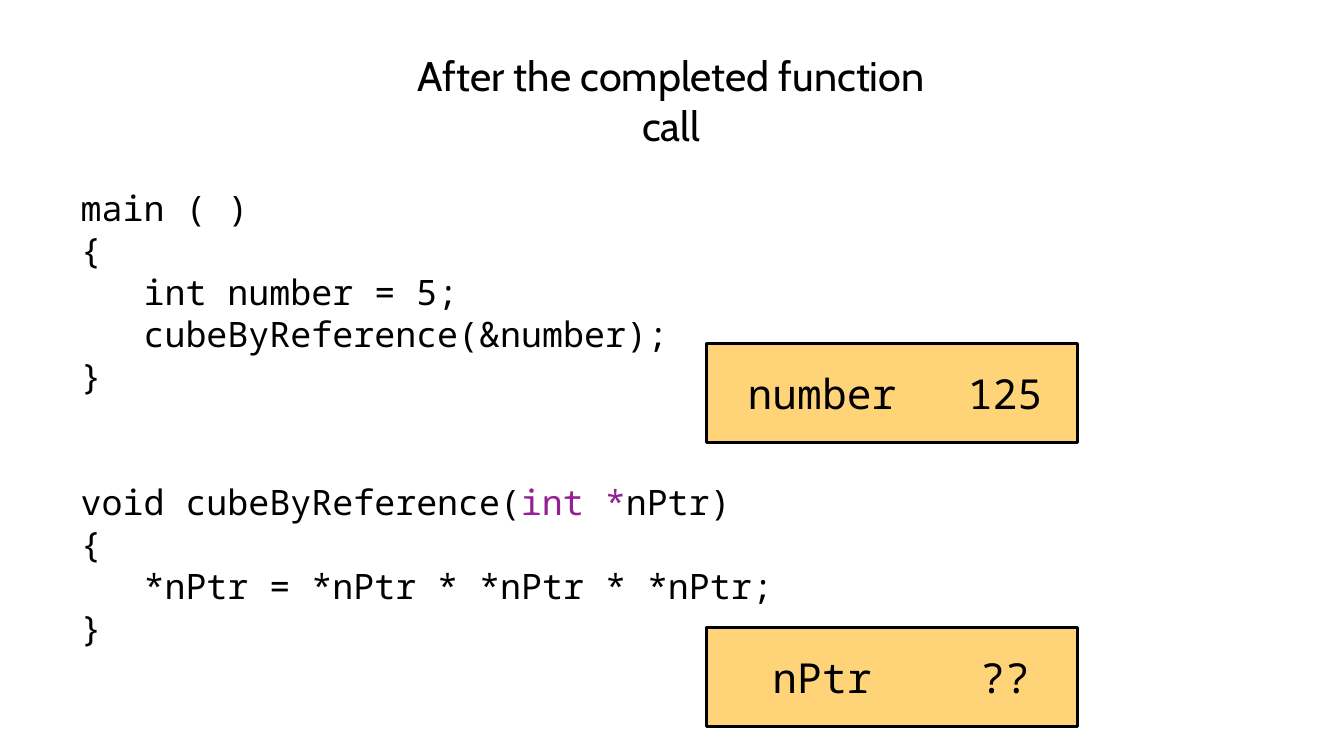
import pptx
import pptx.dml.color
import pptx.enum.shapes
import pptx.enum.text
import pptx.oxml
import pptx.oxml.ns
import pptx.util

Pt = pptx.util.Pt
ALIGN = pptx.enum.text.PP_ALIGN
ANCHOR = pptx.enum.text.MSO_ANCHOR

BLACK, PURPLE, AMBER = "000000", "942193", "FFD479"
MONO = "Noto Sans Mono"

TITLE = "After the completed function call"
# Each function is a list of lines, each line a list of (text, colour).
FUNCTIONS = [
    [
        [("main ( )", BLACK)],
        [("{", BLACK)],
        [("   int number = 5;", BLACK)],
        [("   cubeByReference(&number);", BLACK)],
        [("}", BLACK)],
    ],
    [
        [("void cubeByReference(", BLACK), ("int *", PURPLE), ("nPtr)", BLACK)],
        [("{", BLACK)],
        [("   *nPtr = *nPtr * *nPtr * *nPtr;", BLACK)],
        [("}", BLACK)],
    ],
]
# Variable name, value, top of its memory box
VARIABLES = [("number", "125", 245.5), ("nPtr", "??", 448.5)]

TITLE_BOX = (276.5, 50.4, 406, 41.8)
CODE_BOX = (57.6, 133, 723.6, 333)
BOX_LEFT, BOX_W, BOX_H = 504.7, 265, 70.6
NAME_CENTRE, VALUE_CENTRE = 587.2, 718
LABEL_W, LABEL_H = 116, 42
LINE = 30

TITLE_FONT = {"name": "Cabin", "size": Pt(29.5)}
LABEL_FONT = {"name": MONO, "size": Pt(29.5)}
CODE_FONT = {"name": MONO, "size": Pt(25)}


def rgb(hex_colour):
    return pptx.dml.color.RGBColor.from_string(hex_colour)


def set_attrs(obj, values):
    for name, value in values.items():
        setattr(obj, name, value)


def place(sp, left, top, width, height):
    set_attrs(sp, {"left": Pt(left), "top": Pt(top),
                   "width": Pt(width), "height": Pt(height)})


def format_frame(tf, anchor, margin):
    set_attrs(tf, {
        "word_wrap": True,
        "auto_size": pptx.enum.text.MSO_AUTO_SIZE.NONE,
        "vertical_anchor": anchor,
        "margin_left": Pt(margin), "margin_right": Pt(margin),
        "margin_top": Pt(margin), "margin_bottom": Pt(margin),
    })


def add_run(p, text, font, colour=BLACK):
    r = p.add_run()
    r.text = text
    set_attrs(r.font, font)
    r.font.color.rgb = rgb(colour)


def fill_centred(sp, text, font):
    tf = sp.text_frame
    format_frame(tf, ANCHOR.MIDDLE, 3)
    p = tf.paragraphs[0]
    p.alignment = ALIGN.CENTER
    add_run(p, text, font)


def remove_bullet(p):
    pPr = p._p.get_or_add_pPr()
    pPr.set("marL", "0")
    pPr.set("indent", "0")
    pPr.append(pptx.oxml.parse_xml(
        "<a:buNone %s/>" % pptx.oxml.ns.nsdecls("a")))


def fill_code(sp):
    tf = sp.text_frame
    format_frame(tf, ANCHOR.TOP, 0)
    p = tf.paragraphs[0]
    for f, lines in enumerate(FUNCTIONS):
        for n, runs in enumerate(lines):
            if f or n:
                p = tf.add_paragraph()
            remove_bullet(p)
            gap = 2 * LINE if f and n == 0 else 0
            set_attrs(p, {"alignment": ALIGN.LEFT, "line_spacing": Pt(LINE),
                          "space_before": Pt(gap), "space_after": Pt(0)})
            for text, colour in runs:
                add_run(p, text, CODE_FONT, colour)


def add_variable(s, name, value, top):
    sp = s.shapes.add_shape(
        pptx.enum.shapes.MSO_SHAPE.RECTANGLE,
        Pt(BOX_LEFT), Pt(top), Pt(BOX_W), Pt(BOX_H))
    sp.shadow.inherit = False
    sp.fill.solid()
    sp.fill.fore_color.rgb = rgb(AMBER)
    sp.line.color.rgb = rgb(BLACK)
    sp.line.width = Pt(2)
    label_top = top + (BOX_H - LABEL_H) / 2
    for text, centre in ((name, NAME_CENTRE), (value, VALUE_CENTRE)):
        label = s.shapes.add_textbox(
            Pt(centre - LABEL_W / 2), Pt(label_top), Pt(LABEL_W), Pt(LABEL_H))
        fill_centred(label, text, LABEL_FONT)


def main():
    prs = pptx.Presentation()
    prs.slide_width, prs.slide_height = Pt(960), Pt(540)
    s = prs.slides.add_slide(prs.slide_layouts[1])
    title, code = s.shapes.title, s.placeholders[1]
    place(title, *TITLE_BOX)
    fill_centred(title, TITLE, TITLE_FONT)
    place(code, *CODE_BOX)
    fill_code(code)
    for variable in VARIABLES:
        add_variable(s, *variable)
    prs.save("out.pptx")


if __name__ == "__main__":
    main()
